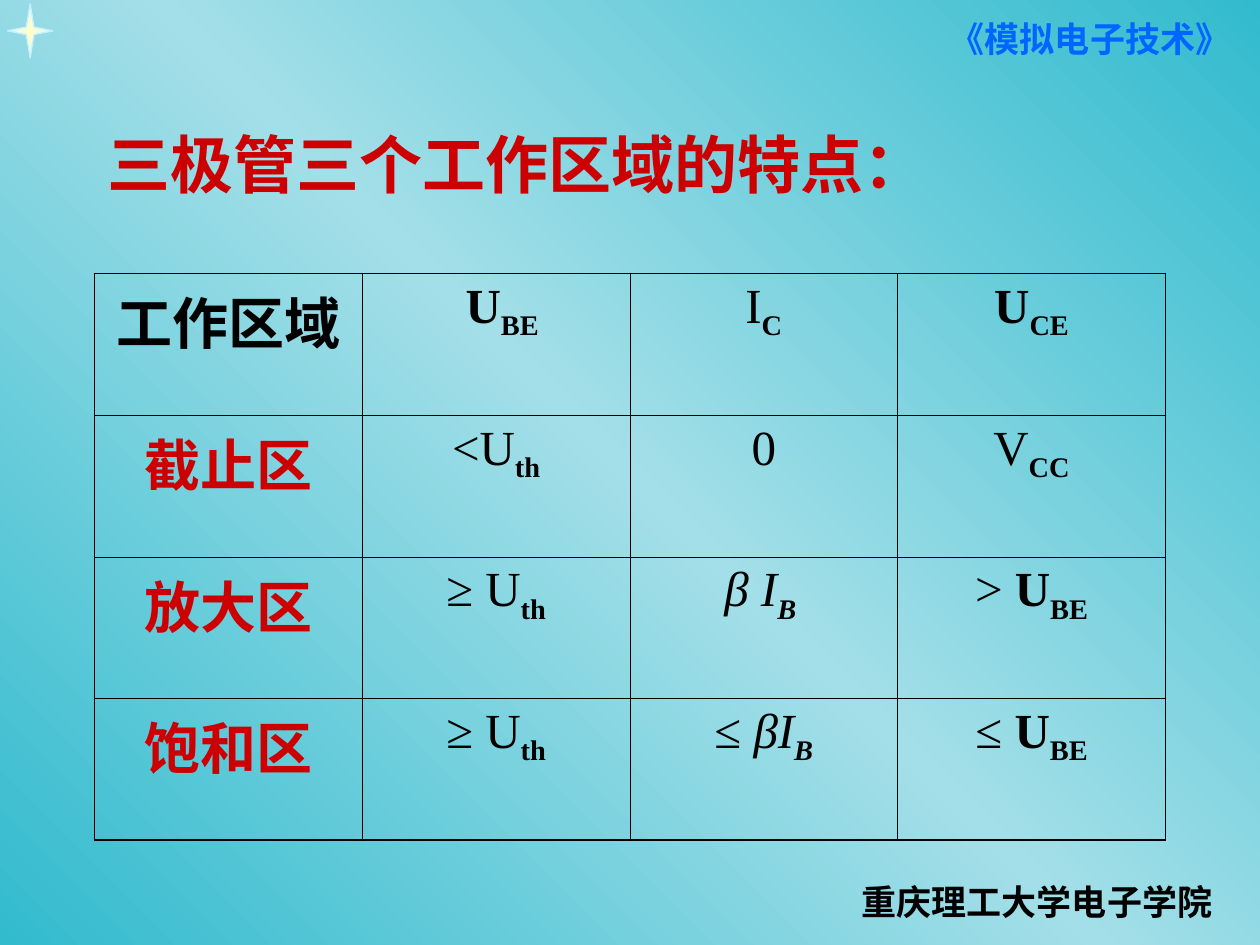
from typing import NamedTuple

from lxml.etree import SubElement
from pptx import Presentation
from pptx.dml.color import RGBColor
from pptx.enum.text import MSO_ANCHOR, MSO_AUTO_SIZE, PP_ALIGN
from pptx.oxml import parse_xml
from pptx.oxml.ns import nsdecls, qn
from pptx.util import Inches, Pt

COLORS = {
    "teal": "32BBCE", "pale": "A3DFE8", "cream": "FFFFCC", "ice": "CCFFFF",
    "star_line": "CCECFF", "blue": "0066FF", "red": "CC0000", "black": "000000",
}
WIDTH, HEIGHT = 10, 7.5
SERIF, SANS = "Times New Roman", "Arial"
OUTER, INNER = 1.08, 0.45


class Box(NamedTuple):
    left: float
    top: float
    width: float
    height: float

    def emu(self) -> list[int]:
        return [Inches(v) for v in self]


class Piece(NamedTuple):
    text: str
    bold: bool = False
    italic: bool = False
    sub: bool = False


def sub(text: str, italic: bool = False) -> Piece:
    return Piece(text, True, italic, True)


def region(text: str) -> list[Piece]:
    return [Piece(text, True)]


U_BE = [Piece("U", True), sub("BE")]
AT_LEAST_U_TH = [Piece("≥ U"), sub("th")]
TABLE = Box(0.75, 2.17, 8.5, 4.5)
ROWS = [
    [region("工作区域"), [Piece(" "), *U_BE], [Piece("I"), sub("C")],
     [Piece("U", True), sub("CE")]],
    [region("截止区"), [Piece("<U"), sub("th")], [Piece("0")], [Piece("V"), sub("CC")]],
    [region("放大区"), AT_LEAST_U_TH, [Piece("β I", italic=True), sub("B ", True)],
     [Piece("> "), *U_BE]],
    [region("饱和区"), AT_LEAST_U_TH,
     [Piece("≤ "), Piece("βI", italic=True), sub("B", True)], [Piece("≤ "), *U_BE]],
]


def gradient(names: list[str], direction: str):
    """Gradient fill with evenly spaced stops."""
    stops = "".join(
        f'<a:gs pos="{100000 * i // (len(names) - 1)}"><a:srgbClr val="{COLORS[n]}"/></a:gs>'
        for i, n in enumerate(names))
    return parse_xml(f'<a:gradFill {nsdecls("a")} rotWithShape="1">'
                     f"<a:gsLst>{stops}</a:gsLst>{direction}</a:gradFill>")


def set_font(font, name: str, size: float, color: str) -> None:
    font.name, font.size = name, Pt(size)
    font.color.rgb = RGBColor.from_string(COLORS[color])


def add_background(s) -> None:
    s.background.fill.solid()
    bg = s._element.find(f".//{qn('p:bgPr')}")
    bg.replace(bg[0], gradient(["teal", "pale", "teal"], '<a:lin ang="8100000" scaled="0"/>'))


def add_star(s, box: Box) -> None:
    left, top, width, height = box.emu()
    rx, ry, notch = width // 2, height // 2, Inches(0.03)
    cx, cy = left + rx, top + ry
    points = [(cx - rx, cy), (cx - notch, cy - notch), (cx, cy - ry), (cx + notch, cy - notch),
              (cx + rx, cy), (cx + notch, cy + notch), (cx, cy + ry), (cx - notch, cy + notch)]
    builder = s.shapes.build_freeform(*points[0])
    builder.add_line_segments(points[1:], close=True)
    sp = builder.convert_to_shape()
    sp.shadow.inherit = False
    sp.line.color.rgb = RGBColor.from_string(COLORS["star_line"])
    sp.line.width = Pt(0)
    sp.fill.solid()
    props = sp._element.spPr
    props.replace(props.find(qn("a:solidFill")), gradient(
        ["cream", "ice"],
        '<a:path path="rect"><a:fillToRect l="50000" t="50000" r="50000" b="50000"/></a:path>'))


def add_label(s, box: Box, text: str, color: str, align: PP_ALIGN) -> None:
    tf = s.shapes.add_textbox(*box.emu()).text_frame
    tf.word_wrap, tf.auto_size = True, MSO_AUTO_SIZE.SHAPE_TO_FIT_TEXT
    p = tf.paragraphs[0]
    p.text, p.alignment = text, align
    set_font(p.font, SANS, 20, color)
    p.font.bold = True


def add_title(s, box: Box, text: str) -> None:
    sp = s.shapes.title
    sp.left, sp.top, sp.width, sp.height = box.emu()
    tf = sp.text_frame
    tf.vertical_anchor, tf.auto_size = MSO_ANCHOR.MIDDLE, MSO_AUTO_SIZE.NONE
    p = tf.paragraphs[0]
    p.text, p.alignment = text, PP_ALIGN.LEFT
    set_font(p.font, SERIF, 36, "red")
    p.font.bold = True


def set_borders(cell, widths: dict[str, float]) -> None:
    props = cell._tc.get_or_add_tcPr()
    for i, (side, width) in enumerate(widths.items()):
        ln = SubElement(props, qn(f"a:ln{side}"), w=str(Pt(width)))
        SubElement(SubElement(ln, qn("a:solidFill")), qn("a:srgbClr"), val=COLORS["black"])
        props.insert(i, ln)


def fill_cell(cell, pieces: list[Piece], size: float, color: str) -> None:
    cell.fill.background()
    p = cell.text_frame.paragraphs[0]
    p.alignment = PP_ALIGN.CENTER
    for piece in pieces:
        r = p.add_run()
        r.text = piece.text
        set_font(r.font, SERIF, size, color)
        r.font.bold, r.font.italic = piece.bold, piece.italic
        if piece.sub:
            r.font._element.set("baseline", "-25000")


def add_region_table(s, box: Box, rows: list[list[list[Piece]]]) -> None:
    n_rows, n_cols = len(rows), len(rows[0])
    table = s.shapes.add_table(n_rows, n_cols, *box.emu()).table
    table.first_row = table.horz_banding = False
    for i, row in enumerate(rows):
        for j, pieces in enumerate(row):
            cell = table.cell(i, j)
            fill_cell(cell, pieces, 28 if j else 32, "red" if i and not j else "black")
            edges = {"L": j == 0, "R": j == n_cols - 1, "T": i == 0, "B": i == n_rows - 1}
            set_borders(cell, {k: OUTER if edge else INNER for k, edge in edges.items()})


def main() -> None:
    prs = Presentation()
    prs.slide_width, prs.slide_height = Inches(WIDTH), Inches(HEIGHT)
    s = prs.slides.add_slide(prs.slide_layouts[5])
    add_background(s)
    add_star(s, Box(0.06, 0.03, 0.36, 0.43))
    add_label(s, Box(7.44, 0.09, 2.52, 0.44), "《模拟电子技术》", "blue", PP_ALIGN.LEFT)
    add_label(s, Box(5.94, 6.94, 3.78, 0.44), "重庆理工大学电子学院", "black", PP_ALIGN.RIGHT)
    add_title(s, Box(0.75, 0.67, 8.5, 1.25), "三极管三个工作区域的特点：")
    add_region_table(s, TABLE, ROWS)
    prs.save("out.pptx")


if __name__ == "__main__":
    main()
